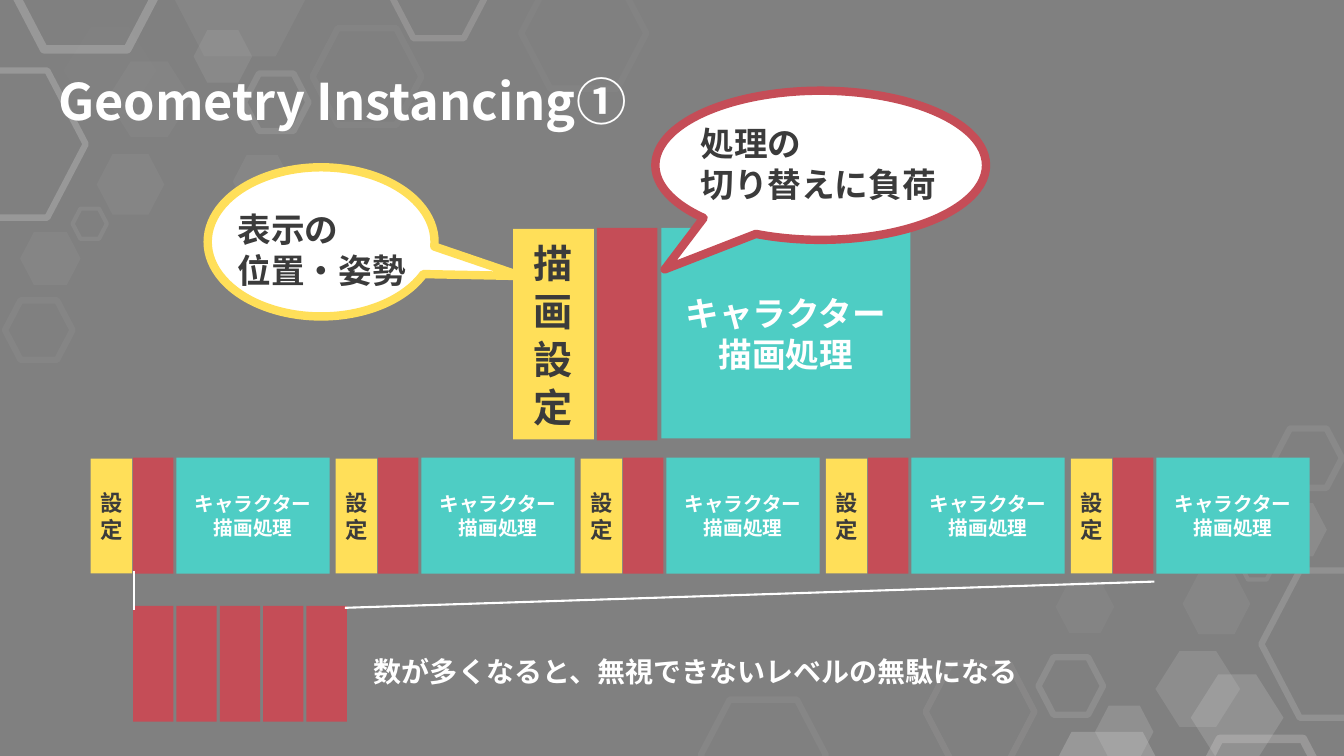
import pptx
import pptx.util
import pptx.dml.color
import pptx.enum.shapes
import pptx.enum.text
import pptx.oxml
import pptx.oxml.ns
from pptx.util import Inches, Pt

KIND = pptx.enum.shapes.MSO_SHAPE
ALIGN = pptx.enum.text.PP_ALIGN

THEME = {
    "font": "Noto Sans CJK JP",
    "pitch": 1.22,
    "back": "808080",
    "white": "FFFFFF",
    "dark": "3B3B3B",
    "teal": "4ECDC4",
    "yellow": "FFDF59",
    "red": "C54D57",
    "title": 36,
    "big": 28,
    "mid": 24,
    "note": 20,
    "small": 16,
    "tiny": 14,
    "edge": 6,
    "rule": 1.5,
}

# left, top, width, height, adjust, colour, line points (0 = filled), opacity %, mirrored opacity %
HEXES = [
    (2.42, 0.73, 0.64, 0.57, 0.261, "D0CECE", 4.5, 16, 16),
    (0.05, 2.98, 0.67, 0.59, 0.261, "D9D9D9", 4.5, 5, 10),
    (3.1, 0.28, 1.08, 0.96, 0.261, "D0CECE", 4.5, 6, 10),
    (0.1, -0.8, 1.5, 1.29, 0.261, "D0CECE", 6, 31, 30),
    (0.72, 2.07, 0.34, 0.3, 0.261, "E7E6E6", 3, 8, 10),
    (1.06, 0.61, 0.84, 0.75, 0.317, "D9D9D9", 0, 5, 15),
    (1.92, 0.3, 0.58, 0.52, 0.261, "D9D9D9", 0, 11, 18),
    (1.69, -0.73, 1.38, 1.29, 0.261, "D9D9D9", 0, 7, 27),
    (-0.85, 0.7, 1.7, 1.46, 0.261, "D9D9D9", 4.5, 28, 20),
    (3.89, -0.43, 0.92, 0.81, 0.261, "D0CECE", 4.5, 24, None),
    (0.63, 0.27, 0.92, 0.86, 0.317, "D9D9D9", 0, 2, 20),
    (2.31, 1.54, 0.58, 0.52, 0.261, "D9D9D9", 0, 8, 5),
    (0.96, 1.53, 0.67, 0.6, 0.261, "D9D9D9", 0, 6, 8),
    (5.17, -0.22, 1.24, 1.1, 0.261, "D0CECE", 4.5, 3, 8),
    (0.2, 2.3, 0.6, 0.53, 0.261, "F2F2F2", 0, 5, 10),
]
MIRROR = (13.36, 7.82)

TITLE = "Geometry Instancing①"
DRAW = "キャラクター\n描画処理"
SETUP = "描画設定"
SHORT = "設定"
POSE = "表示の\n位置・姿勢"
LOAD = "処理の\n切り替えに負荷"
NOTE = "数が多くなると、無視できないレベルの無駄になる"

COUNT = 5
ROW = {"left": 0.9, "top": 4.54, "step": 2.43, "high": 1.15}
STACK = {"left": 1.32, "top": 6.01, "step": 0.43}
BAR = 0.4
RULES = [(1.33, 5.66, 1.33, 6.05), (11.45, 5.77, 3.42, 6.03)]


def color(name):
    return pptx.dml.color.RGBColor.from_string(THEME.get(name, name))


def write(shape, text, size, ink, align):
    frame = shape.text_frame
    frame.text = text
    for para in frame.paragraphs:
        para.alignment = align
        para.line_spacing = Pt(round(THEME[size] * THEME["pitch"], 1))
        for run in para.runs:
            font = run.font
            font.size = Pt(THEME[size])
            font.bold = True
            font.color.rgb = color(ink)
            font.name = THEME["font"]
            east = pptx.oxml.parse_xml(
                '<a:ea %s typeface="%s"/>' % (pptx.oxml.ns.nsdecls("a"), THEME["font"]))
            font.fill
            run.font.element.append(east) if hasattr(font, "element") else \
                run._r.get_or_add_rPr().append(east)


def shape(slide, kind, box, fill=None, edge=None, width=0):
    item = slide.shapes.add_shape(kind, *[Inches(v) for v in box])
    item.shadow.inherit = False
    if fill:
        item.fill.solid()
        item.fill.fore_color.rgb = color(fill)
    else:
        item.fill.background()
    if edge:
        item.line.color.rgb = color(edge)
        item.line.width = Pt(width)
    else:
        item.line.fill.background()
    return item


def block(slide, box, fill, text="", size="mid", ink="white"):
    item = shape(slide, KIND.RECTANGLE, box, fill)
    if text:
        item.text_frame.word_wrap = True
        item.text_frame.vertical_anchor = pptx.enum.text.MSO_ANCHOR.MIDDLE
        write(item, text, size, ink, ALIGN.CENTER)


def label(slide, box, text, size, ink):
    item = slide.shapes.add_textbox(*[Inches(v) for v in box])
    item.text_frame.word_wrap = False
    item.text_frame.auto_size = pptx.enum.text.MSO_AUTO_SIZE.SHAPE_TO_FIT_TEXT
    write(item, text, size, ink, ALIGN.LEFT)


def bubble(slide, box, tip, edge, place, text):
    item = shape(slide, KIND.OVAL_CALLOUT, box, "white", edge, THEME["edge"])
    item.adjustments[0], item.adjustments[1] = tip
    label(slide, place, text, "mid", "dark")


def hexes(slide, turned):
    for left, top, wide, high, adjust, tint, width, first, second in HEXES:
        clear = second if turned else first
        if clear is None:
            continue
        if turned:
            left = MIRROR[0] - left - wide
            top = MIRROR[1] - top - high
        look = (None, tint, width) if width else (tint,)
        item = shape(slide, KIND.HEXAGON, (left, top, wide, high), *look)
        item.adjustments[0] = adjust
        item.rotation = 180 if turned else 0
        for node in item.element.spPr.iter(pptx.oxml.ns.qn("a:srgbClr")):
            node.append(pptx.oxml.parse_xml(
                '<a:alpha %s val="%d"/>' % (pptx.oxml.ns.nsdecls("a"), clear * 1000)))


def rule(slide, ends):
    item = slide.shapes.add_connector(
        pptx.enum.shapes.MSO_CONNECTOR.STRAIGHT, *[Inches(v) for v in ends])
    item.line.color.rgb = color("white")
    item.line.width = Pt(THEME["rule"])
    item.element.spPr.append(pptx.oxml.parse_xml(
        "<a:effectLst %s/>" % pptx.oxml.ns.nsdecls("a")))


def main():
    deck = pptx.Presentation()
    deck.slide_width, deck.slide_height = Inches(13.33), Inches(7.5)
    slide = deck.slides.add_slide(deck.slide_layouts[6])
    slide.background.fill.solid()
    slide.background.fill.fore_color.rgb = color("back")

    for turned in (False, True):
        hexes(slide, turned)

    label(slide, (0.48, 0.64, 6.37, 0.71), TITLE, "title", "white")
    block(slide, (6.56, 2.26, 2.47, 2.09), "teal", DRAW)
    block(slide, (5.09, 2.27, 0.8, 2.09), "yellow", SETUP, "big", "dark")
    bubble(slide, (2.06, 1.66, 2.25, 1.48), (0.881, 0.229), "yellow",
           (2.26, 2.02, 1.88, 0.91), POSE)
    bubble(slide, (6.5, 0.9, 3.28, 1.48), (-0.472, 0.698), "red",
           (6.85, 1.16, 2.56, 0.91), LOAD)
    block(slide, (5.92, 2.26, 0.6, 2.11), "red")

    top, high = ROW["top"], ROW["high"]
    for i in range(COUNT):
        left = ROW["left"] + i * ROW["step"]
        block(slide, (left + 0.85, top, 1.52, high), "teal", DRAW, "tiny")
        block(slide, (left, top + 0.01, 0.41, high - 0.01), "yellow", SHORT, "small", "dark")
        block(slide, (left + 0.42, top, BAR, high), "red")
        block(slide, (STACK["left"] + i * STACK["step"], STACK["top"], BAR, high), "red")

    for ends in RULES:
        rule(slide, ends)
    label(slide, (3.61, 6.44, 6.65, 0.44), NOTE, "note", "white")

    deck.save("out.pptx")


if __name__ == "__main__":
    main()
